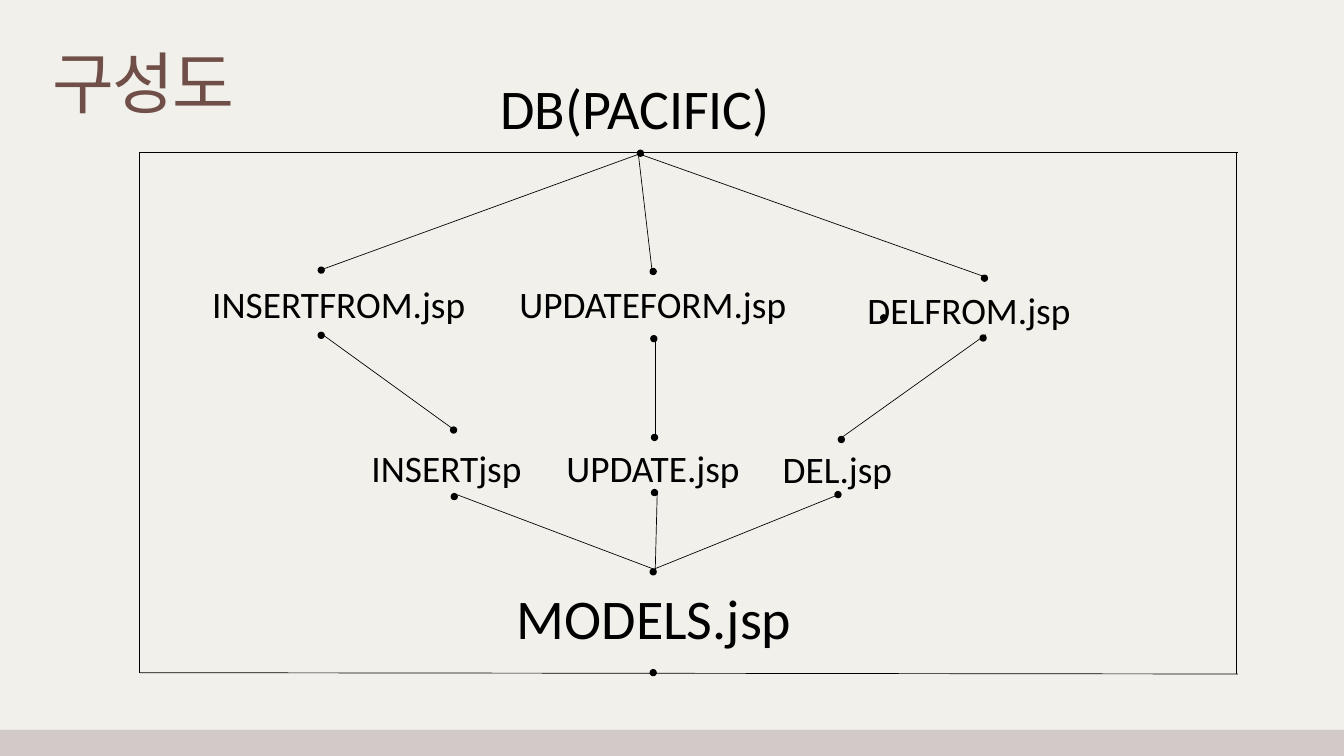
"""Build the page structure slide of a JSP board."""
from pptx import Presentation
from pptx.dml.color import RGBColor
from pptx.enum.shapes import MSO_CONNECTOR as Link, MSO_SHAPE as Kind
from pptx.enum.text import MSO_ANCHOR as Anchor, MSO_AUTO_SIZE as Fit, PP_ALIGN as Align
from pptx.oxml.ns import qn
from pptx.util import Pt

SCALE = 9144
INK = "000000"
DOT = 8

LABELS = [
    ("MODELS.jsp", 759, 863, 587, 111, 60),
    ("INSERTjsp", 543, 658, 383, 77, 40),
    ("UPDATE.jsp", 833, 657, 383, 77, 40),
    ("DEL.jsp", 1155, 659, 383, 77, 40),
    ("INSERTFROM.jsp", 306, 414, 429, 77, 40),
    ("UPDATEFORM.jsp", 763, 414, 429, 77, 40),
    ("DELFROM.jsp", 1281, 422, 429, 77, 40),
    ("DB(PACIFIC)", 735, 104, 429, 111, 60),
]
FRAME = [
    (1842, 1003, 208, 1001),
    (1840, 1003, 1840, 228),
    (1842, 227, 208, 227),
    (208, 1001, 208, 226),
]
LINKS = [
    (949, 230, 482, 400),
    (970, 400, 950, 230),
    (1463, 411, 948, 228),
    (476, 495, 675, 639),
    (975, 647, 975, 508),
    (1467, 498, 1254, 650),
    (973, 847, 677, 735),
    (975, 851, 978, 734),
    (1243, 738, 973, 847),
]
DOTS = [
    (949, 224), (474, 398), (968, 400), (1461, 410), (1311, 469),
    (474, 495), (969, 500), (1459, 499), (671, 636), (970, 647),
    (1248, 650), (672, 735), (970, 729), (1243, 732), (968, 847),
    (968, 997),
]


def px(*vals):
    """Turn px lengths into EMU."""
    return [val * SCALE for val in vals]


def color(code):
    """Turn a hex string into a colour."""
    return RGBColor.from_string(code)


def style(item, **vals):
    """Set each named format value on an item."""
    for name, val in vals.items():
        setattr(item, name, val)


def paint(fill, code):
    """Give a fill one solid colour."""
    fill.solid()
    fill.fore_color.rgb = color(code)


def write(shape, text, size, face, code):
    """Put one formatted run into a shape and return it."""
    frame = shape.text_frame
    style(frame, word_wrap=True, auto_size=Fit.SHAPE_TO_FIT_TEXT, vertical_anchor=Anchor.TOP)
    para = frame.paragraphs[0]
    para.alignment = Align.LEFT
    run = para.add_run()
    run.text = text
    style(run.font, size=Pt(size), name=face)
    run.font.color.rgb = color(code)
    return run


def add_title(slide, text):
    """Place and format the title placeholder."""
    title = slide.shapes.title
    left, top, width, height = px(78, 72, 866, 113)
    style(title, left=left, top=top, width=width, height=height)
    face = "Noto Sans CJK KR"
    run = write(title, text, 72, face, "704F48")
    frame = title.text_frame
    style(frame, margin_left=0, margin_top=0, margin_right=0, margin_bottom=0)
    style(frame.paragraphs[0], line_spacing=Pt(79.2), space_before=Pt(0))
    props = run.font._element
    props.set("spc", "-180")
    latin = props.find(qn("a:latin"))
    east = latin.makeelement(qn("a:ea"), {"typeface": face})
    latin.addnext(east)


def add_label(slide, text, left, top, width, height, size):
    """Add a black text label."""
    box = slide.shapes.add_textbox(*px(left, top, width, height))
    write(box, text, size, "Calibri", INK)


def add_band(slide):
    """Add the strip along the foot of the slide."""
    band = slide.shapes.add_shape(Kind.RECTANGLE, *px(-20, 1086, 2040, 79))
    band.shadow.inherit = False
    paint(band.fill, "D1CAC9")
    band.line.fill.background()


def add_dot(slide, left, top):
    """Add a round node."""
    dot = slide.shapes.add_shape(Kind.OVAL, *px(left, top, DOT, DOT))
    dot.shadow.inherit = False
    dot.rotation = 331
    paint(dot.fill, INK)
    paint(dot.line.fill, INK)
    dot.line.width = Pt(2)


def add_line(slide, *ends):
    """Add a thin straight connector."""
    link = slide.shapes.add_connector(Link.STRAIGHT, *px(*ends))
    paint(link.line.fill, INK)
    link.line.width = Pt(0.75)
    props = link._element.spPr
    props.append(props.makeelement(qn("a:effectLst"), {}))


def main():
    """Build and save the slide."""
    deck = Presentation()
    deck.slide_width, deck.slide_height = px(2000, 1125)
    slide = deck.slides.add_slide(deck.slide_layouts[5])
    paint(slide.background.fill, "F1F0EB")
    add_title(slide, "구성도")
    add_band(slide)
    for label in LABELS:
        add_label(slide, *label)
    for ends in FRAME + LINKS:
        add_line(slide, *ends)
    for spot in DOTS:
        add_dot(slide, *spot)
    deck.save("out.pptx")


if __name__ == "__main__":
    main()
